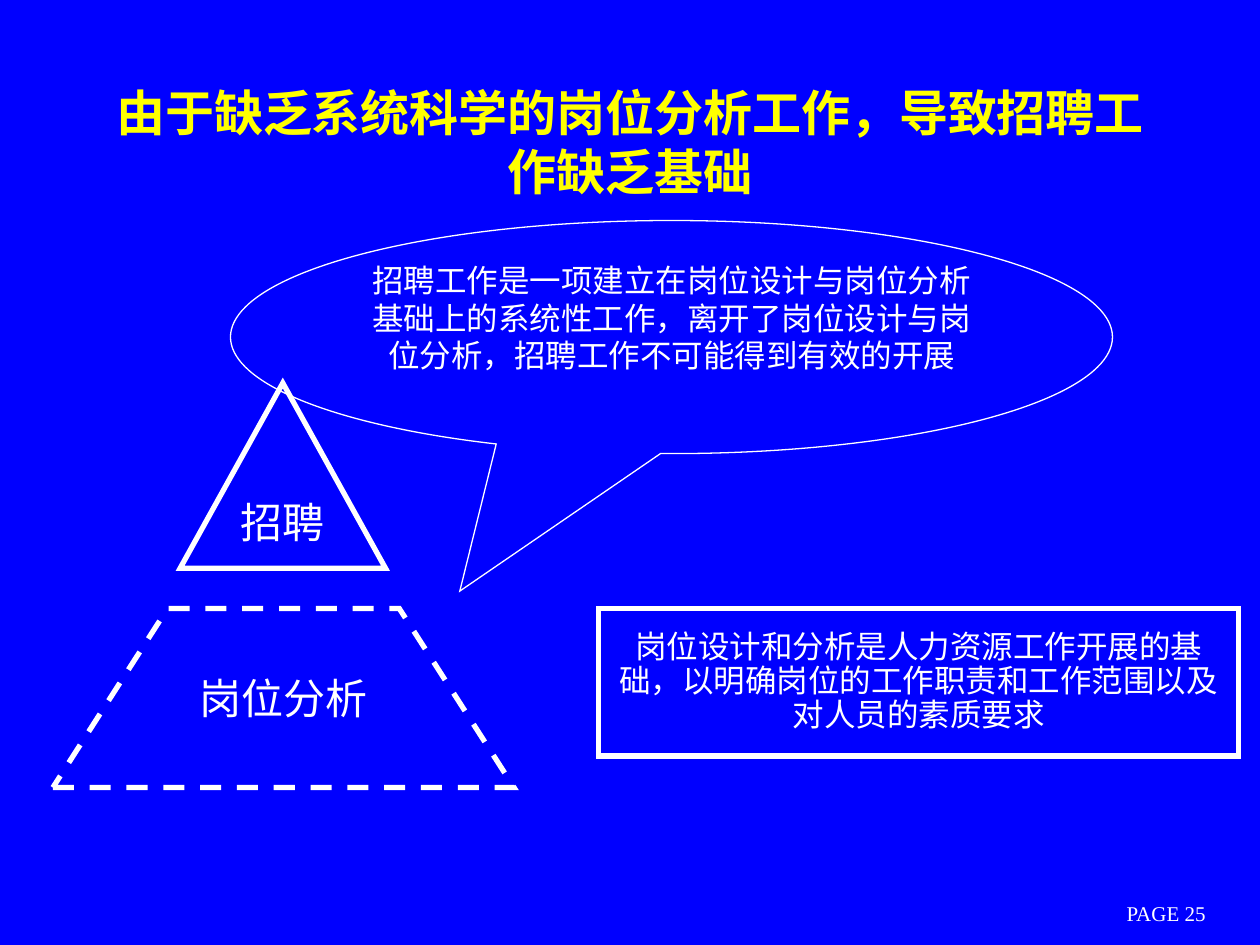
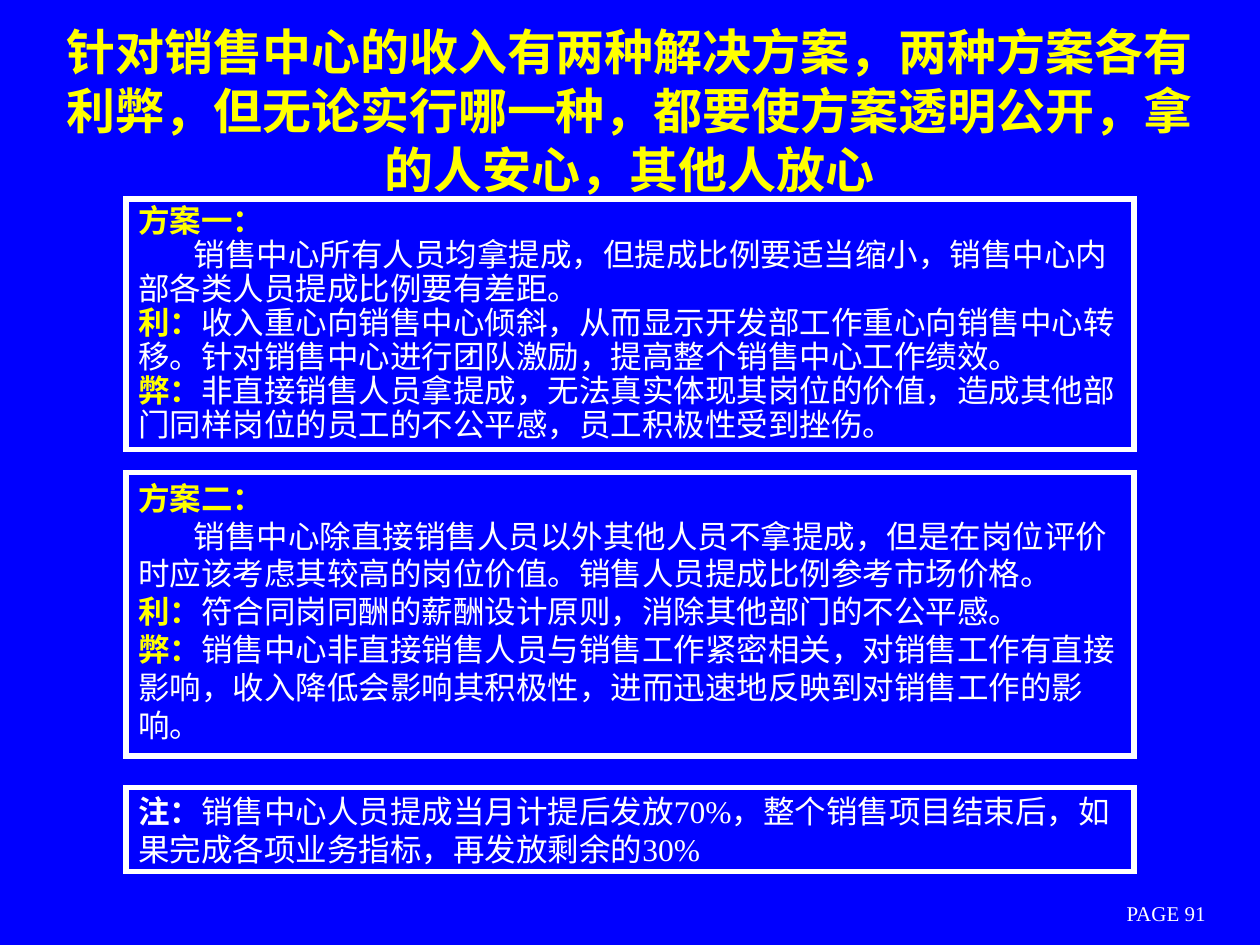
from lxml import etree
from pptx import Presentation
from pptx.dml.color import RGBColor
from pptx.enum.dml import MSO_LINE
from pptx.enum.lang import MSO_LANGUAGE_ID
from pptx.enum.shapes import MSO_SHAPE
from pptx.enum.text import MSO_ANCHOR, MSO_AUTO_SIZE, PP_ALIGN
from pptx.oxml.ns import qn
from pptx.util import Inches, Pt

BLUE, YELLOW, WHITE = "0000FF", "FFFF00", "FFFFFF"
TITLE_FONT, BODY_FONT = "Noto Sans CJK SC", "Times New Roman"
CENTER, LEFT = PP_ALIGN.CENTER, PP_ALIGN.LEFT
TOP, MIDDLE = MSO_ANCHOR.TOP, MSO_ANCHOR.MIDDLE
RECTANGLE = MSO_SHAPE.RECTANGLE
TRIANGLE = MSO_SHAPE.ISOSCELES_TRIANGLE
CALLOUT = MSO_SHAPE.OVAL_CALLOUT
DASH = MSO_LINE.DASH
NO_AUTOFIT = MSO_AUTO_SIZE.NONE
CHINESE = MSO_LANGUAGE_ID.SIMPLIFIED_CHINESE


def style_font(font, size, color=WHITE, bold=False, name=BODY_FONT):
    font.name = name
    font.size = Pt(size)
    font.bold = bold
    font.color.rgb = RGBColor.from_string(color)
    font.language_id = CHINESE


def outline_shape(shape, width, anchor=MIDDLE, wrap=True):
    shape.shadow.inherit = False
    shape.fill.background()
    shape.line.color.rgb = RGBColor.from_string(WHITE)
    shape.line.width = Pt(width)
    outline = shape._element.spPr.find(qn("a:ln"))
    etree.SubElement(outline, qn("a:miter")).set("lim", "800000")
    frame = shape.text_frame
    frame.word_wrap = wrap
    frame.vertical_anchor = anchor
    return frame


deck = Presentation()
deck.slide_width, deck.slide_height = Inches(10), Inches(7.5)
background = deck.slide_master.background.fill
background.solid()
background.fore_color.rgb = RGBColor.from_string(BLUE)

headings = [
    ("由于缺乏系统科学的岗位分析工作，导致招聘工作缺乏基础", (0.75, 0.5, 8.5, 1.25), "PAGE 25"),
    ("针对销售中心的收入有两种解决方案，两种方案各有利弊，但无论实行哪一种，"
     "都要使方案透明公开，拿的人安心，其他人放心", (0.37, 0.25, 9.25, 1.25), "PAGE 91"),
]
pages = []
for heading, area, page_label in headings:
    page = deck.slides.add_slide(deck.slide_layouts[5])
    title = page.shapes.title
    title.left, title.top, title.width, title.height = [Inches(length) for length in area]
    title.text_frame.text = heading
    title.text_frame.auto_size = NO_AUTOFIT
    title.text_frame.vertical_anchor = MIDDLE
    para = title.text_frame.paragraphs[0]
    para.alignment = CENTER
    style_font(para.font, 28, YELLOW, True, TITLE_FONT)

    footer = page.shapes.add_textbox(Inches(8.42), Inches(7.12), Inches(1.67), Inches(0.25))
    footer.text_frame.word_wrap = True
    footer.text_frame.vertical_anchor = MIDDLE
    para = footer.text_frame.paragraphs[0]
    para.text = page_label
    para.alignment = CENTER
    style_font(para.font, 12)
    pages.append(page)

basis_page, plans_page = pages

builder = basis_page.shapes.build_freeform(Inches(0.42), Inches(6.25))
builder.add_line_segments(
    [(Inches(x), Inches(y)) for x, y in [(4.08, 6.25), (3.17, 4.83), (1.33, 4.83)]], close=True)
trapezoid = builder.convert_to_shape()
trapezoid.line.dash_style = DASH

triangle = basis_page.shapes.add_shape(
    TRIANGLE, Inches(1.43), Inches(3.04), Inches(1.63), Inches(1.47))
reason = basis_page.shapes.add_shape(
    RECTANGLE, Inches(4.75), Inches(4.83), Inches(5.08), Inches(1.17))
callout = basis_page.shapes.add_shape(
    CALLOUT, Inches(1.83), Inches(1.75), Inches(7), Inches(1.85))
callout.adjustments[0], callout.adjustments[1] = -0.24, 1.09

basis_labels = [
    (trapezoid, "岗位分析", 24, 3, MIDDLE, False, 1.0),
    (triangle, "招聘", 24, 3, MIDDLE, False, 1.0),
    (reason, "岗位设计和分析是人力资源工作开展的基础，以明确岗位的工作职责和工作范围"
     "以及对人员的素质要求", 18, 3, MIDDLE, True, 0.9),
    (callout, "招聘工作是一项建立在岗位设计与岗位分析基础上的系统性工作，"
     "离开了岗位设计与岗位分析，招聘工作不可能得到有效的开展", 18, 0.75, TOP, True, 1.0),
]
for shape, label, size, line_width, anchor, wrap, spacing in basis_labels:
    para = outline_shape(shape, line_width, anchor, wrap).paragraphs[0]
    para.text = label
    para.alignment = CENTER
    para.line_spacing = spacing
    para._p.get_or_add_pPr().set("hangingPunct", "0")
    style_font(para.font, size)

plan_boxes = [
    (1.58, 1.99, TOP, 0.9, YELLOW, [
        ("方案一：", ""),
        ("", "销售中心所有人员均拿提成，但提成比例要适当缩小，销售中心内部各类人员提成比例要有差距。"),
        ("利：", "收入重心向销售中心倾斜，从而显示开发部工作重心向销售中心转移。"
         "针对销售中心进行团队激励，提高整个销售中心工作绩效。"),
        ("弊：", "非直接销售人员拿提成，无法真实体现其岗位的价值，"
         "造成其他部门同样岗位的员工的不公平感，员工积极性受到挫伤。"),
    ]),
    (3.75, 2.25, TOP, 1.0, YELLOW, [
        ("方案二：", ""),
        ("", "销售中心除直接销售人员以外其他人员不拿提成，但是在岗位评价时应该考虑其较高的岗位价值。"
         "销售人员提成比例参考市场价格。"),
        ("利：", "符合同岗同酬的薪酬设计原则，消除其他部门的不公平感。"),
        ("弊：", "销售中心非直接销售人员与销售工作紧密相关，对销售工作有直接影响，"
         "收入降低会影响其积极性，进而迅速地反映到对销售工作的影响。"),
    ]),
    (6.25, 0.67, MIDDLE, 1.0, WHITE, [
        ("注：", "销售中心人员提成当月计提后发放70%，整个销售项目结束后，"
         "如果完成各项业务指标，再发放剩余的30%"),
    ]),
]
for top, height, anchor, spacing, lead_color, entries in plan_boxes:
    box = plans_page.shapes.add_shape(RECTANGLE, Inches(1), Inches(top), Inches(8), Inches(height))
    frame = outline_shape(box, 3, anchor)
    for index, (lead, body) in enumerate(entries):
        para = frame.add_paragraph() if index else frame.paragraphs[0]
        para.alignment = LEFT
        para.line_spacing = spacing
        properties = para._p.get_or_add_pPr()
        properties.set("hangingPunct", "0")
        if not lead:
            properties.set("indent", str(Inches(0.44)))
        for words, color, bold in [(lead, lead_color, True), (body, WHITE, False)]:
            if words:
                span = para.add_run()
                span.text = words
                style_font(span.font, 18, color, bold)

deck.save("out.pptx")
